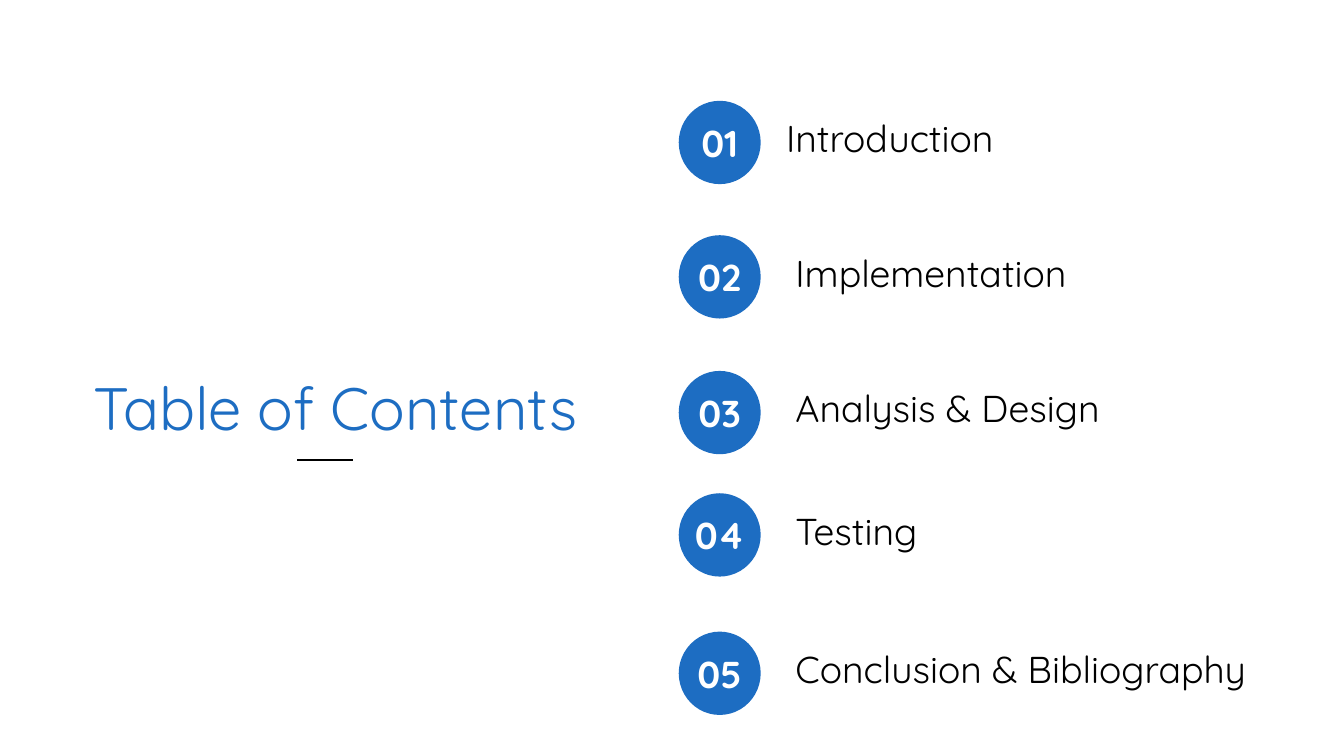
from pptx import Presentation
from pptx.dml.color import RGBColor
from pptx.enum import shapes, text
from pptx.oxml.ns import qn
from pptx.util import Inches, Pt
from lxml import etree

TITLE = "Table of Contents"
CHAPTERS = [
    {"label": "Introduction", "top": 0.75, "left": 5.75, "width": 1.85},
    {"label": "Implementation", "top": 1.75, "left": 5.82, "width": 2.37},
    {"label": "Analysis & Design", "top": 2.76, "left": 5.82, "width": 2.54},
    {"label": "Testing", "top": 3.67, "left": 5.82, "width": 1.12},
    {"label": "Conclusion & Bibliography", "top": 4.7, "left": 5.82, "width": 3.76},
]
THEME = {
    "font": "Quicksand",
    "blue": RGBColor.from_string("1D6DC2"),
    "black": RGBColor.from_string("000000"),
    "white": RGBColor.from_string("FFFFFF"),
    "title": Pt(32),
    "body": Pt(20),
    "rule": Pt(1),
}
BADGE_LEFT, BADGE_WIDTH, BADGE_HEIGHT = 5.05, 0.61, 0.62
LABEL_DROP, LABEL_HEIGHT = 0.06, 0.44


def write(sp, content, size, color, align, bold=False):
    tf = sp.text_frame
    tf.text = content
    tf.word_wrap = False
    p = tf.paragraphs[0]
    p.alignment = align
    font = p.runs[0].font
    font.name = THEME["font"]
    font.size = THEME[size]
    font.color.rgb = THEME[color]
    font.bold = bold


def add_label(s, box, content, size, color, align):
    sp = s.shapes.add_textbox(*map(Inches, box))
    write(sp, content, size, color, align)
    sp.text_frame.auto_size = text.MSO_AUTO_SIZE.SHAPE_TO_FIT_TEXT


def add_badge(s, top, number):
    box = (BADGE_LEFT, top, BADGE_WIDTH, BADGE_HEIGHT)
    sp = s.shapes.add_shape(shapes.MSO_SHAPE.OVAL, *map(Inches, box))
    sp.shadow.inherit = False
    sp.fill.solid()
    sp.fill.fore_color.rgb = THEME["blue"]
    sp.line.fill.background()
    write(sp, f"{number:02d}", "body", "white", text.PP_ALIGN.CENTER, True)


def add_rule(s, left, right, y):
    ends = map(Inches, (left, y, right, y))
    line = s.shapes.add_connector(shapes.MSO_CONNECTOR.STRAIGHT, *ends)
    line.line.color.rgb = THEME["black"]
    line.line.width = THEME["rule"]
    etree.SubElement(line._element.spPr, qn("a:effectLst"))


def main():
    prs = Presentation()
    prs.slide_width = Inches(10)
    prs.slide_height = prs.slide_width * 9 // 16
    s = prs.slides.add_slide(prs.slide_layouts[6])
    add_label(s, (0.47, 2.71, 4.05, 0.64), TITLE, "title", "blue", text.PP_ALIGN.CENTER)
    add_rule(s, 2.21, 2.63, 3.42)
    for number, chapter in enumerate(CHAPTERS, 1):
        top = chapter["top"]
        add_badge(s, top, number)
        box = (chapter["left"], top + LABEL_DROP, chapter["width"], LABEL_HEIGHT)
        add_label(s, box, chapter["label"], "body", "black", text.PP_ALIGN.LEFT)
    prs.save("out.pptx")


if __name__ == "__main__":
    main()
